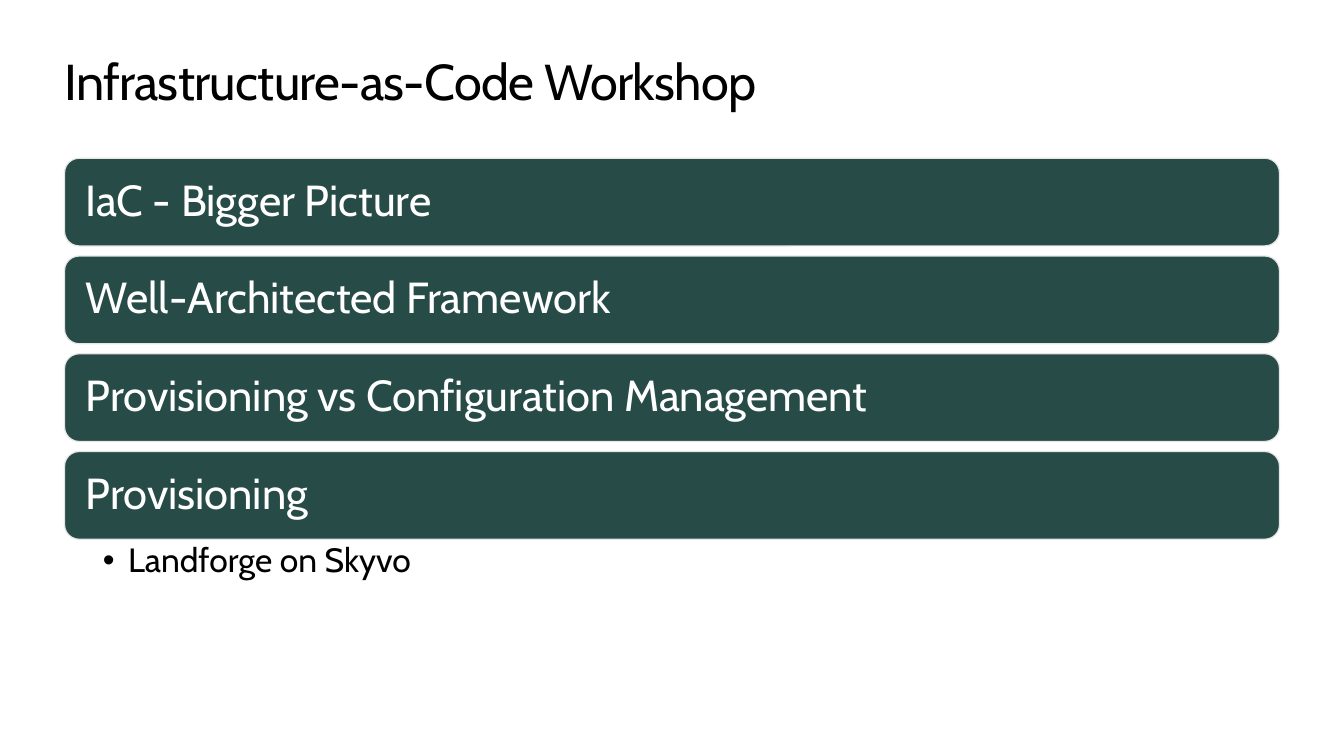
from pptx import Presentation
from pptx.dml.color import RGBColor
from pptx.enum.shapes import MSO_SHAPE
from pptx.enum.text import MSO_ANCHOR, MSO_AUTO_SIZE, PP_ALIGN
from pptx.oxml.xmlchemy import OxmlElement
from pptx.util import Inches, Pt

ROUND = MSO_SHAPE.ROUNDED_RECTANGLE
TOP, MIDDLE = MSO_ANCHOR.TOP, MSO_ANCHOR.MIDDLE
LEFT = PP_ALIGN.LEFT
NO_FIT = MSO_AUTO_SIZE.NONE

# Grid in inches: one column, evenly spaced rows
COL_X, COL_W = 0.64, 12.05
ROW_Y, ROW_H, ROW_STEP = 1.57, 0.87, 0.97

TOPICS = [
    "IaC - Bigger Picture",
    "Well-Architected Framework",
    "Provisioning vs Configuration Management",
    "Provisioning",
]


def color(code):
    return RGBColor.from_string(code)


def row_top(row):
    return ROW_Y + row * ROW_STEP


def place(shape, top, height):
    box = {"left": COL_X, "top": top, "width": COL_W, "height": height}
    for name, value in box.items():
        setattr(shape, name, Inches(value))


def write(shape, text, size, ink, insets, anchor=TOP, spacing=1.0):
    frame = shape.text_frame
    frame.text = text
    frame.word_wrap = True
    frame.auto_size = NO_FIT
    frame.vertical_anchor = anchor
    for side, inset in zip(("left", "top", "right", "bottom"), insets):
        setattr(frame, f"margin_{side}", Inches(inset))
    par = frame.paragraphs[0]
    layout = {"alignment": LEFT, "line_spacing": spacing,
              "space_before": Pt(0), "space_after": Pt(0)}
    for name, value in layout.items():
        setattr(par, name, value)
    font = par.runs[0].font
    for name, value in {"name": "Cabin", "size": Pt(size)}.items():
        setattr(font, name, value)
    font.color.rgb = color(ink)
    return par


def add_title(slide, text):
    title = slide.shapes.title
    place(title, 0.5, 0.61)
    par = write(title, text, 36, "000000", (0, 0, 0, 0))
    par.runs[0].font._element.set("spc", "-50")


def add_bar(slide, row, text):
    bar = slide.shapes.add_shape(ROUND, 0, 0, 0, 0)
    place(bar, row_top(row), ROW_H)
    bar.shadow.inherit = False
    bar.fill.solid()
    bar.fill.fore_color.rgb = color("274B47")
    bar.line.color.rgb = color("E6E6E6")
    bar.line.width = Pt(0.85)
    write(bar, text, 31, "FFFFFF", (0.17, 0.1, 0.17, 0.1), MIDDLE, 0.9)


def add_list(slide, top, text):
    body = slide.placeholders[1]
    place(body, top, 0.56)
    par = write(body, text, 24, "000000", (0.38, 0.04, 0.24, 0.04), spacing=0.9)
    par.level = 1
    # Bullet with a hanging indent
    props = par._p.get_or_add_pPr()
    indent = Inches(0.25)
    props.set("marL", str(indent))
    props.set("indent", str(-indent))
    bullet = OxmlElement("a:buChar")
    bullet.set("char", "•")
    props.append(bullet)


def main():
    deck = Presentation()
    deck.slide_width, deck.slide_height = Inches(13.33), Inches(7.5)
    slide = deck.slides.add_slide(deck.slide_layouts[1])

    # Heading
    add_title(slide, "Infrastructure-as-Code Workshop")

    # Agenda bars
    for row, topic in enumerate(TOPICS):
        add_bar(slide, row, topic)

    # Detail under the last bar
    add_list(slide, row_top(len(TOPICS) - 1) + ROW_H, "Landforge on Skyvo")

    deck.save("out.pptx")


if __name__ == "__main__":
    main()
